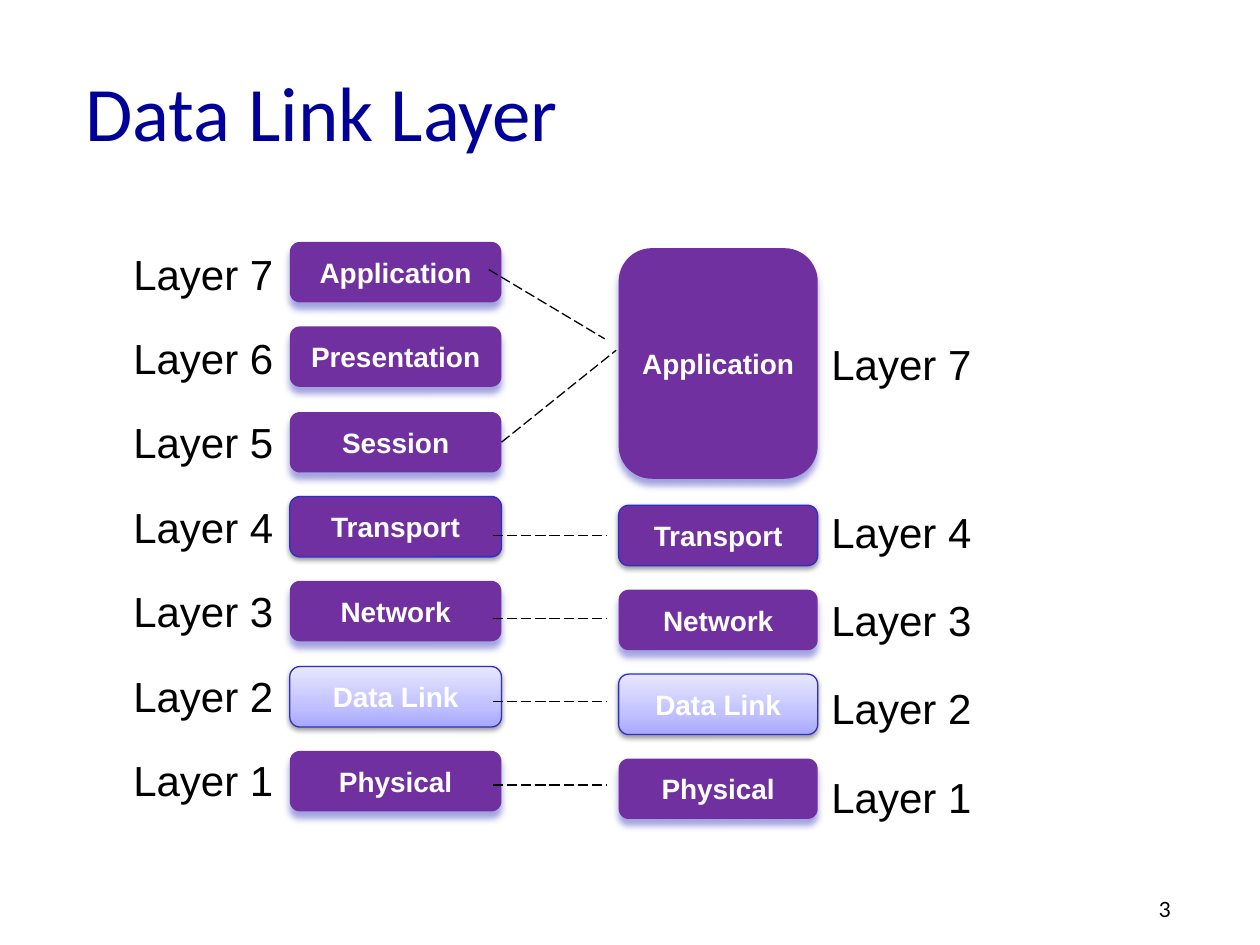
"""Build the Data Link Layer slide: seven OSI layers beside the five-layer stack."""
import copy

import pptx
import pptx.dml.color
import pptx.enum.dml
import pptx.enum.shapes
import pptx.enum.text
import pptx.oxml
import pptx.oxml.ns
import pptx.util

RGB = pptx.dml.color.RGBColor
ANCHOR = pptx.enum.text.MSO_ANCHOR
ALIGN = pptx.enum.text.PP_ALIGN
NAVY, PURPLE, BLUE = RGB(0, 0, 0x99), RGB(0x70, 0x30, 0xA0), RGB(0x2E, 0x2E, 0xCB)
BLACK, WHITE = RGB(0, 0, 0), RGB(255, 255, 255)
GRADIENT = [(0, RGB(0xA7, 0xA7, 0xFF)), (0.35, RGB(0xC1, 0xC1, 0xFF)), (1, RGB(0xE7, 0xE7, 0xFF))]

LOWER = ["Transport", "Network", "Data Link", "Physical"]
UPPER = ["Application", "Presentation", "Session"]
OUTLINED = {"Transport", "Data Link"}
PITCH, BOX_H = 0.67, 0.48
LEFT_X, LEFT_Y, LEFT_W = 2.3, 1.92, 1.68
RIGHT_X, RIGHT_Y, RIGHT_W = 4.91, 4.01, 1.58
LEFT_LABELS = [(7 - i, 0.96, 1.92 + i * PITCH) for i in range(7)]
RIGHT_LABELS = [(7, 6.5, 2.64)] + [(4 - i, 6.5, 3.97 + i * 0.7) for i in range(4)]
LINKS = [(3.91, 4.25 + i * 0.66, 4.82, 4.25 + i * 0.66) for i in range(4)]
LINKS.append((3.88, 2.14, 4.8, 2.69))
SESSION_LINK = (3.98, 3.51, 4.89, 2.78)

TITLE = dict(size=44, name="Calibri", color=NAVY)
BOX = dict(size=16, name="Arial", color=WHITE, bold=True)
LABEL = dict(size=24, name="Arial", color=BLACK)
NUMBER = dict(size=12, name="Lato", color=BLACK)
SOFT = dict(color="A3A3E0", alpha=100, blur=4, dist=4)
HARD = dict(color="000000", alpha=38, blur=3.1, dist=1.6)


def inches(*values):
    return [pptx.util.Inches(round(v, 2)) for v in values]


def write(tf, text, fmt, **frame):
    for key, value in frame.items():
        setattr(tf, key, value)
    r = tf.paragraphs[0].add_run()
    r.text = text
    for key, value in fmt.items():
        if key == "color":
            r.font.color.rgb = value
        else:
            setattr(r.font, key, pptx.util.Pt(value) if key == "size" else value)


def add_text(slide, at, text, fmt, **frame):
    write(slide.shapes.add_textbox(*inches(*at)).text_frame, text, fmt, **frame)


def add_shadow(sp, color, alpha, blur, dist):
    sp.shadow.inherit = False
    effects = sp._element.spPr.find(pptx.oxml.ns.qn("a:effectLst"))
    effects.append(pptx.oxml.parse_xml(
        f'<a:outerShdw {pptx.oxml.ns.nsdecls("a")} blurRad="{pptx.util.Pt(blur)}" '
        f'dist="{pptx.util.Pt(dist)}" dir="5400000" rotWithShape="0">'
        f'<a:srgbClr val="{color}"><a:alpha val="{alpha * 1000}"/></a:srgbClr></a:outerShdw>'))


def fill_gradient(sp):
    sp.fill.gradient()
    sp.fill.gradient_angle = 90
    stops = next(sp._element.iter(pptx.oxml.ns.qn("a:gsLst")))
    stops.append(copy.deepcopy(stops[0]))
    for stop, (position, color) in zip(sp.fill.gradient_stops, GRADIENT):
        stop.position, stop.color.rgb = position, color


def add_box(slide, at, name):
    sp = slide.shapes.add_shape(pptx.enum.shapes.MSO_SHAPE.ROUNDED_RECTANGLE, *inches(*at))
    if name == "Data Link":
        fill_gradient(sp)
    else:
        sp.fill.solid()
        sp.fill.fore_color.rgb = PURPLE
    if name in OUTLINED:
        sp.line.color.rgb, sp.line.width = BLUE, pptx.util.Pt(0.75)
    else:
        sp.line.fill.background()
    add_shadow(sp, **(HARD if name in OUTLINED else SOFT))
    write(sp.text_frame, name, BOX, word_wrap=True, vertical_anchor=ANCHOR.MIDDLE)
    sp.text_frame.paragraphs[0].alignment = ALIGN.CENTER
    return sp


def add_link(slide, ends):
    line = slide.shapes.add_connector(pptx.enum.shapes.MSO_CONNECTOR.STRAIGHT, *inches(*ends))
    line.line.color.rgb, line.line.width = BLACK, pptx.util.Pt(0.75)
    line.line.dash_style = pptx.enum.dml.MSO_LINE.LONG_DASH
    line._element.spPr.append(pptx.oxml.parse_xml(f'<a:effectLst {pptx.oxml.ns.nsdecls("a")}/>'))
    return line


def main():
    prs = pptx.Presentation()
    prs.slide_width, prs.slide_height = inches(10, 7.5)
    slide = prs.slides.add_slide(prs.slide_layouts[6])
    add_text(slide, (0.58, 0.25, 8.5, 1.25), "Data Link Layer", TITLE,
             word_wrap=True, vertical_anchor=ANCHOR.MIDDLE)
    boxes = {name: add_box(slide, (LEFT_X, LEFT_Y + i * 0.673, LEFT_W, BOX_H), name)
             for i, name in enumerate(UPPER + LOWER)}
    add_box(slide, (RIGHT_X, 1.97, RIGHT_W, 1.83), "Application")
    for i, name in enumerate(LOWER):
        add_box(slide, (RIGHT_X, RIGHT_Y + i * PITCH, RIGHT_W, BOX_H), name)
    for ends in LINKS:
        add_link(slide, ends)
    add_link(slide, SESSION_LINK).begin_connect(boxes["Session"], 3)
    for number, x, y in LEFT_LABELS + RIGHT_LABELS:
        add_text(slide, (x, y, 1.33, 0.51), f"Layer {number}", LABEL, word_wrap=False)
    add_text(slide, (9.1, 7.07, 0.74, 0.3), "3", NUMBER, word_wrap=True)
    prs.save("out.pptx")


if __name__ == "__main__":
    main()
